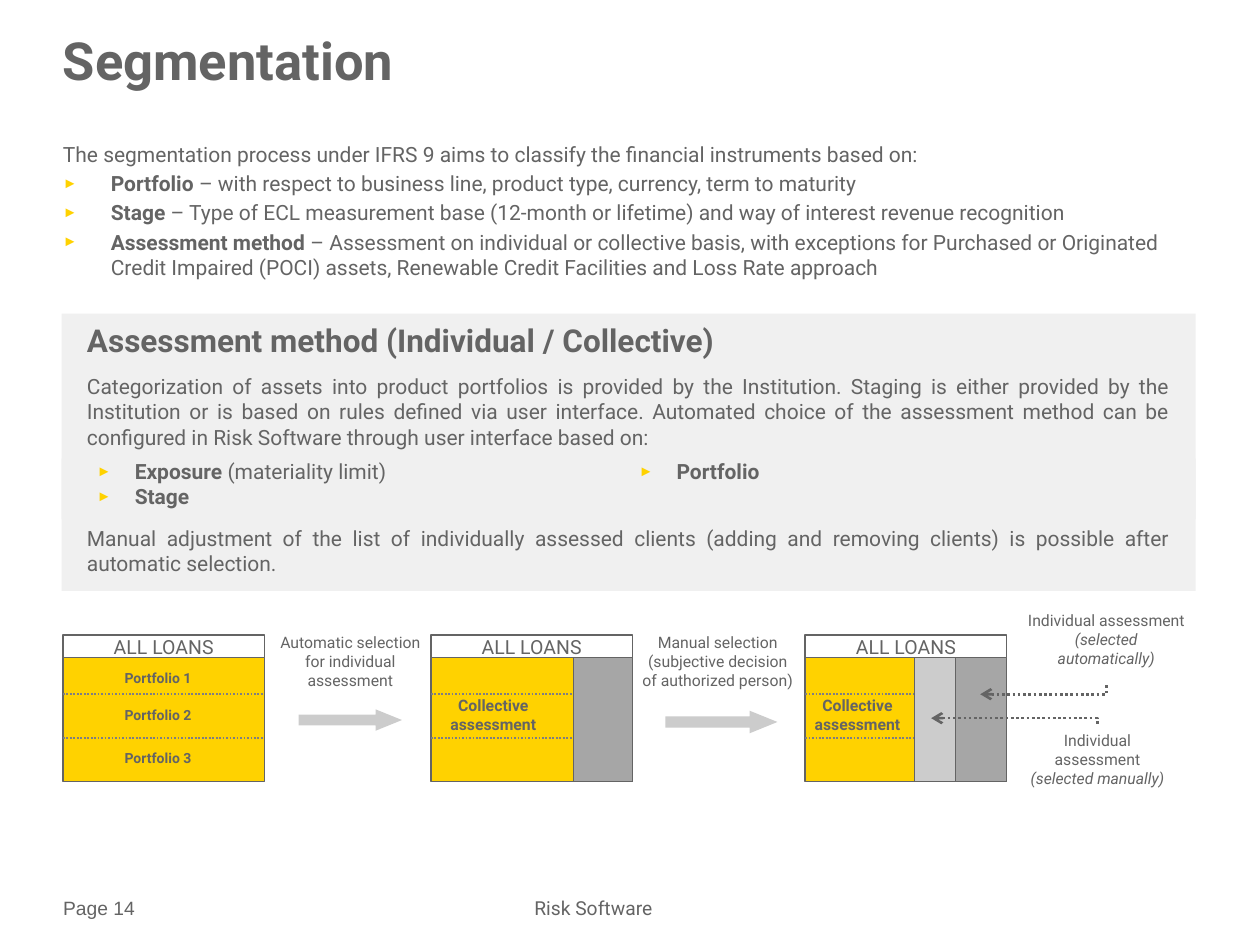
from lxml.etree import SubElement
from pptx import Presentation
from pptx.dml.color import RGBColor
from pptx.enum.dml import MSO_LINE
from pptx.enum.shapes import MSO_CONNECTOR, MSO_SHAPE
from pptx.enum.text import MSO_ANCHOR, PP_ALIGN
from pptx.oxml.ns import qn
from pptx.util import Inches, Pt

GREY, YELLOW, PANEL = "646464", "FFD200", "F0F0F0"
LIGHT, DARK, DOTS, WHITE = "CCCCCC", "A6A6A6", "7F7E82", "FFFFFF"
CENTER, JUSTIFY = PP_ALIGN.CENTER, PP_ALIGN.JUSTIFY
SMALL = (0.09, 0.04, 0.09, 0.04)
PRODUCT = "Risk Software"


def color(value):
    return RGBColor.from_string(value)


def add_bullet(p, indent):
    pPr = p._p.get_or_add_pPr()
    pPr.set("marL", str(Inches(indent)))
    pPr.set("indent", str(-Inches(indent)))
    clr = SubElement(pPr, qn("a:buClr"))
    SubElement(clr, qn("a:srgbClr"), val=YELLOW)
    SubElement(pPr, qn("a:buSzPct"), val="70000")
    SubElement(pPr, qn("a:buFont"), typeface="Arial")
    SubElement(pPr, qn("a:buChar"), char="►")


def write(tf, text, size=12, font="Roboto", bold=False, align=None,
          before=0, after=0, spacing=None, bullet=None):
    """Add a paragraph; text is a string or a list of (text, "b" / "i" / "")."""
    p = tf.add_paragraph() if tf.paragraphs[0].runs else tf.paragraphs[0]
    p.space_before, p.space_after = Pt(before), Pt(after)
    if spacing:
        p.line_spacing = spacing
    if align is not None:
        p.alignment = align
    if bullet:
        add_bullet(p, bullet)
    runs = [(text, "b" if bold else "")] if isinstance(text, str) else text
    for content, style in runs:
        r = p.add_run()
        r.text = content
        r.font.name, r.font.size = font, Pt(size)
        r.font.bold, r.font.italic = style == "b", style == "i"
        r.font.color.rgb = color(GREY)


class SlideBuilder:
    def __init__(self, slide):
        self.shapes = slide.shapes

    def frame(self, sp, margins, anchor=MSO_ANCHOR.TOP):
        tf = sp.text_frame
        tf.word_wrap = True
        tf.vertical_anchor = anchor
        (tf.margin_left, tf.margin_top,
         tf.margin_right, tf.margin_bottom) = map(Inches, margins)
        return tf

    def text(self, x, y, w, h, margins=(0, 0, 0, 0)):
        sp = self.shapes.add_textbox(*map(Inches, (x, y, w, h)))
        return self.frame(sp, margins)

    def label(self, x, y, w, h, text, **fmt):
        write(self.text(x, y, w, h, SMALL), text,
              **{"size": 9, "align": CENTER, **fmt})

    def shape(self, x, y, w, h, fill, line=None, kind=MSO_SHAPE.RECTANGLE):
        sp = self.shapes.add_shape(kind, *map(Inches, (x, y, w, h)))
        sp.shadow.inherit = False
        sp.fill.solid()
        sp.fill.fore_color.rgb = color(fill)
        if line:
            sp.line.color.rgb = color(GREY)
            sp.line.width = Pt(line)
        else:
            sp.line.fill.background()
        return sp

    def block_arrow(self, x, y, w, h):
        sp = self.shape(x, y, w, h, LIGHT, kind=MSO_SHAPE.RIGHT_ARROW)
        sp.adjustments[1] = 1.23

    def dotted(self, x1, y1, x2, y2, line=DOTS, width=1, kind=MSO_CONNECTOR.STRAIGHT):
        c = self.shapes.add_connector(kind, *map(Inches, (x1, y1, x2, y2)))
        c.line.color.rgb = color(line)
        c.line.width = Pt(width)
        c.line.dash_style = MSO_LINE.ROUND_DOT
        SubElement(c._element.spPr, qn("a:effectLst"))
        return c

    def pointer(self, tip_x, tip_y, x, y):
        """Dotted elbow with an arrowhead at the tip and one corner at (x, tip_y)."""
        c = self.dotted(tip_x, tip_y, x, y, GREY, 1.5, MSO_CONNECTOR.ELBOW)
        spPr = c._element.spPr
        spPr.find(qn("a:prstGeom")).set("prst", "bentConnector2")
        SubElement(spPr.find(qn("a:ln")), qn("a:headEnd"), type="arrow")

    def loans(self, x, columns=()):
        """Loan portfolio box; columns are (offset, width, fill, line width)."""
        self.shape(x, 5.21, 1.6, 0.99, YELLOW, 0.75, MSO_SHAPE.FLOWCHART_PROCESS)
        for y in (5.51, 5.86):
            self.dotted(x, y, x + 1.59, y)
        for offset, width, fill, line in columns:
            self.shape(x + offset, 5.21, width, 0.99, fill, line)
        sp = self.shape(x, 5.04, 1.6, 0.18, WHITE, 0.75)
        write(self.frame(sp, SMALL, MSO_ANCHOR.MIDDLE), "ALL LOANS",
              size=11.1, align=CENTER, after=9.8)


def main():
    prs = Presentation()
    prs.slide_width, prs.slide_height = Inches(10), Inches(7.5)
    s = SlideBuilder(prs.slides.add_slide(prs.slide_layouts[6]))

    # Title and introduction
    write(s.text(0.5, 0.3, 9, 0.8), "Segmentation", size=30, bold=True, spacing=0.85)
    tf = s.text(0.5, 1.12, 9, 1.3, (0, 0, 0.1, 0.05))
    write(tf, "The segmentation process under IFRS 9 aims to classify the "
              "financial instruments based on:", align=JUSTIFY)
    for term, meaning in (
        ("Portfolio", " – with respect to business line, product type, currency, "
                      "term to maturity"),
        ("Stage", " – Type of ECL measurement base (12-month or lifetime) and way "
                  "of interest revenue recognition"),
        ("Assessment method ", "– Assessment on individual or collective basis, with "
                               "exceptions for Purchased or Originated Credit Impaired "
                               "(POCI) assets, Renewable Credit Facilities and Loss "
                               "Rate approach"),
    ):
        write(tf, [(term, "b"), (meaning, "")], before=2.4, bullet=0.38)

    # Assessment method panel
    tf = s.frame(s.shape(0.49, 2.49, 9, 2.2, PANEL), (0.2, 0.08, 0.2, 0.08))
    write(tf, "Assessment method (Individual / Collective)", size=18, bold=True,
          align=PP_ALIGN.LEFT, spacing=0.95, after=8)
    write(tf, "Categorization of assets into product portfolios is provided by the "
              "Institution. Staging is either provided by the Institution or is based "
              "on rules defined via user interface. Automated choice of the assessment "
              f"method can be configured in {PRODUCT} through user interface "
              "based on:", align=JUSTIFY)
    write(tf, "Manual adjustment of the list of individually assessed clients (adding "
              "and removing clients) is possible after automatic selection.",
          align=JUSTIFY, before=43.5)

    # Criteria in two columns
    tf = s.frame(s.shape(0.49, 3.64, 9, 0.48, PANEL), (0.28, 0, 0.12, 0.08))
    tf._txBody.bodyPr.set("numCol", "2")
    for runs in ([("Exposure ", "b"), ("(materiality limit)", "")],
                 [("Stage", "b")], [("Portfolio", "b")]):
        write(tf, runs, align=PP_ALIGN.LEFT, bullet=0.3)

    # Selection steps
    for x, y, w, h, step in (
        (2.11, 4.98, 1.34, 1.21, "Automatic selection for individual assessment"),
        (4.99, 4.98, 1.41, 0.63,
         "Manual selection (subjective decision of authorized person)"),
    ):
        write(s.frame(s.shape(x, y, w, h, WHITE), SMALL), step, size=9, align=CENTER)
    s.block_arrow(2.37, 5.63, 0.82, 0.17)
    s.block_arrow(5.28, 5.64, 0.89, 0.18)

    # Loan portfolios
    s.loans(0.5)
    s.loans(3.42, [(1.13, 0.47, DARK, 0.75)])
    s.loans(6.39, [(0.87, 0.32, LIGHT, 0.5), (1.19, 0.41, DARK, 0.5)])
    for number, y in enumerate((5.27, 5.57, 5.91), 1):
        s.label(0.74, y, 1.03, 0.29, f"Portfolio {number}", size=8, bold=True)
    for x in (3.4, 6.29):
        s.label(x, 5.48, 1.03, 0.29, "Collective assessment", bold=True)

    # Individual assessment callouts
    for x, y, w, h, how in ((8.05, 4.81, 1.46, 0.61, "(selected automatically)"),
                            (8.03, 5.76, 1.36, 0.5, "(selected manually)")):
        s.label(x, y, w, h, [("Individual assessment ", ""), (how, "i")])
    s.pointer(7.78, 5.51, 8.78, 5.42)
    s.pointer(7.39, 5.7, 8.71, 5.76)

    # Footer
    write(s.text(0.5, 7.11, 0.79, 0.22), "Page 14", size=11, font="Arial")
    write(s.text(2.83, 7.11, 3.76, 0.22), PRODUCT, size=11, align=CENTER)

    prs.save("out.pptx")


if __name__ == "__main__":
    main()
